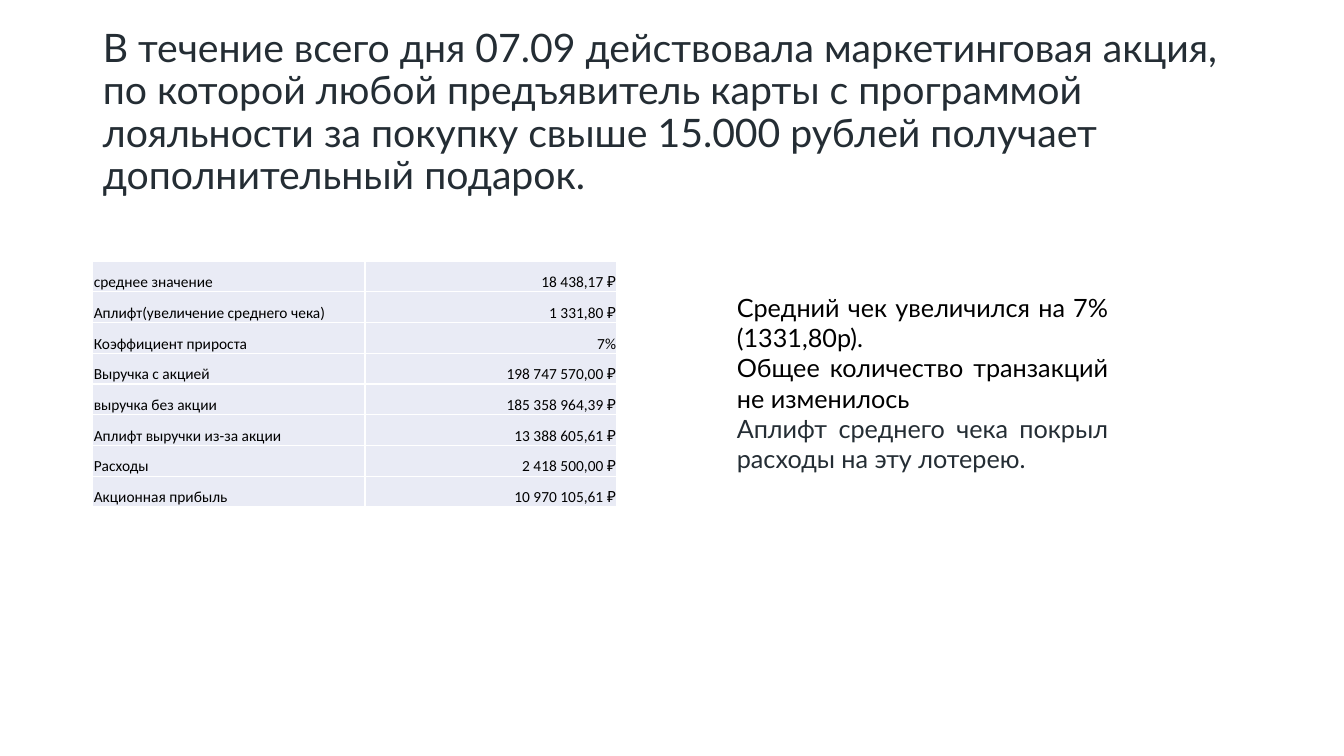
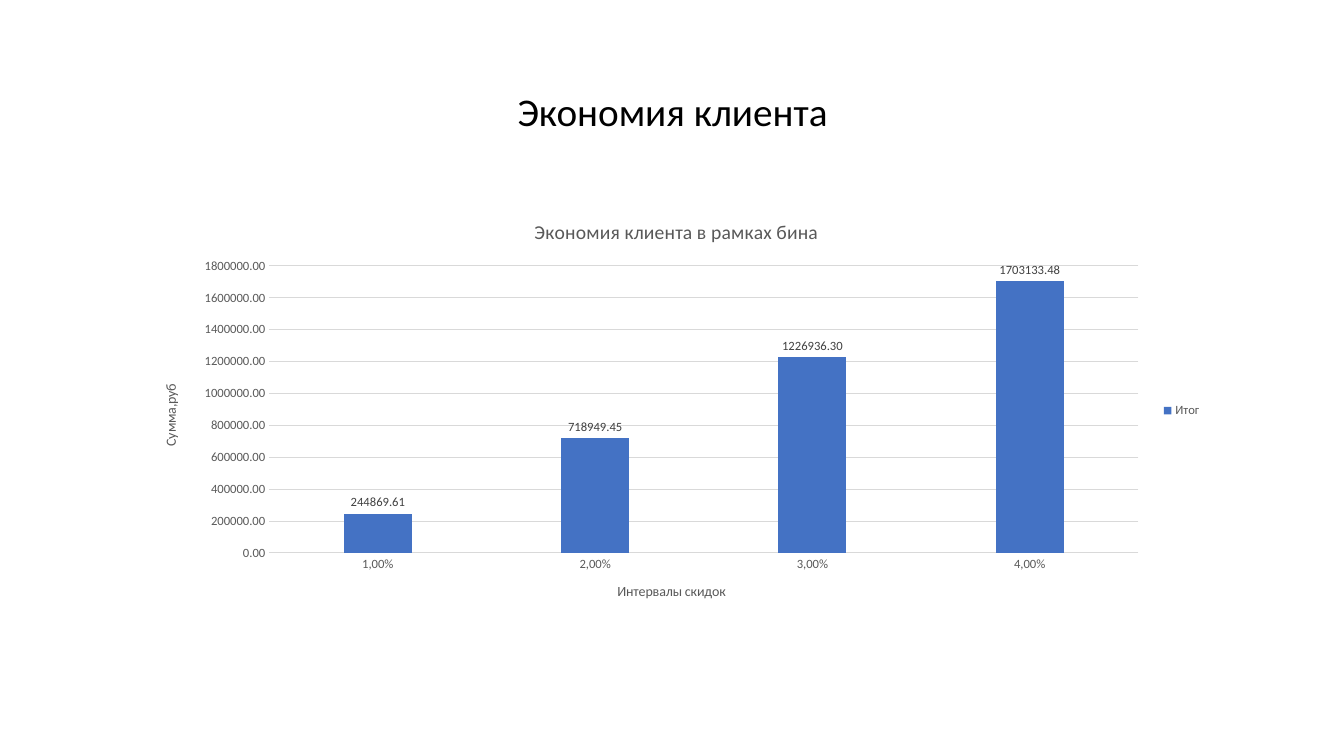
"""Two slides: the result of a marketing campaign and the savings of clients."""
from pptx import Presentation
from pptx.chart.data import CategoryChartData
from pptx.dml.color import RGBColor as RGB
from pptx.enum.chart import XL_CHART_TYPE as Kind, XL_LABEL_POSITION as Spot
from pptx.enum.chart import XL_LEGEND_POSITION as Side, XL_TICK_MARK as Tick
from pptx.enum.text import MSO_ANCHOR as Anchor, MSO_AUTO_SIZE as Fit, PP_ALIGN as Align
from pptx.util import Inches, Pt

HUES = {"black": "000000", "slate": "242D34", "gray": "595959", "dark": "404040",
        "grid": "D9D9D9", "cell": "E9EBF5", "blue": "4472C4"}


def hue(name):
    return RGB.from_string(HUES[name])


def style(font, size, tint, face="Calibri"):
    font.color.rgb = hue(tint)
    for key, val in {"size": Pt(size), "name": face, "bold": False}.items():
        setattr(font, key, val)


deck = Presentation()
deck.slide_width, deck.slide_height = Inches(13.33), Inches(7.5)

heads = [
    ("В течение всего дня 07.09 действовала маркетинговая акция, по которой любой "
     "предъявитель карты с программой лояльности за покупку свыше 15.000 рублей "
     "получает дополнительный подарок.", Align.LEFT, "slate", "Lato"),
    ("Экономия клиента", Align.CENTER, "black", "Calibri"),
]
pages = []
for text, align, tint, face in heads:
    page = deck.slides.add_slide(deck.slide_layouts[5])
    title = page.shapes.title
    box = {"left": 0.92, "top": 0.4, "width": 11.5, "height": 1.45}
    for key, val in box.items():
        setattr(title, key, Inches(val))
    frame = title.text_frame
    frame.text = text
    frame.auto_size, frame.vertical_anchor = Fit.NONE, Anchor.MIDDLE
    par = frame.paragraphs[0]
    par.alignment, par.line_spacing = align, 0.9
    style(par.runs[0].font, 28, tint, face)
    pages.append(page)
promo, saving = pages

rows = [
    ("среднее значение", "18 438,17 ₽"),
    ("Аплифт(увеличение среднего чека)", "1 331,80 ₽"),
    ("Коэффициент прироста", "7%"),
    ("Выручка с акцией", "198 747 570,00 ₽"),
    ("выручка без акции", "185 358 964,39 ₽"),
    ("Аплифт выручки из-за акции", "13 388 605,61 ₽"),
    ("Расходы", "2 418 500,00 ₽"),
    ("Акционная прибыль", "10 970 105,61 ₽"),
]
table = promo.shapes.add_table(len(rows), 2, Inches(0.92), Inches(2.59),
                               Inches(5.2), Inches(2.44)).table
table.first_row = table.horz_banding = False
for col, width in zip(table.columns, (2.7, 2.5)):
    col.width = Inches(width)
inset = Inches(0.01)
look = {"margin_left": inset, "margin_right": inset, "margin_top": inset,
        "margin_bottom": 0, "vertical_anchor": Anchor.BOTTOM}
for r, row in enumerate(rows):
    for c, text in enumerate(row):
        cell = table.cell(r, c)
        cell.text = text
        for key, val in look.items():
            setattr(cell, key, val)
        cell.fill.solid()
        cell.fill.fore_color.rgb = hue("cell")
        par = cell.text_frame.paragraphs[0]
        par.alignment = Align.RIGHT if c else Align.LEFT
        style(par.runs[0].font, 11, "black")

notes = [
    ("Средний чек увеличился на 7% (1331,80р).", "black"),
    ("Общее количество транзакций не изменилось", "black"),
    ("Аплифт среднего чека покрыл расходы на эту лотерею.", "slate"),
]
frame = promo.shapes.add_textbox(Inches(7.21), Inches(2.85),
                                 Inches(3.88), Inches(1.92)).text_frame
frame.word_wrap, frame.auto_size = True, Fit.SHAPE_TO_FIT_TEXT
for n, (text, tint) in enumerate(notes):
    par = frame.add_paragraph() if n else frame.paragraphs[0]
    par.text, par.alignment = text, Align.JUSTIFY
    style(par.runs[0].font, 18, tint, "Lato")

data = CategoryChartData(number_format="0.00")
data.categories = ["1,00%", "2,00%", "3,00%", "4,00%"]
data.add_series("Итог", (244869.61, 718949.45, 1226936.3, 1703133.48))
chart = saving.shapes.add_chart(Kind.COLUMN_CLUSTERED, Inches(1.4), Inches(1.99),
                                Inches(10.62), Inches(4.17), data).chart
style(chart.font, 10, "black")
cats, vals = chart.category_axis, chart.value_axis
for part, text, size in ((chart, "Экономия клиента в рамках бина", 14),
                         (cats, "Интервалы скидок", 10), (vals, "Сумма,руб", 10)):
    label = chart.chart_title if part is chart else part.axis_title
    label.text_frame.text = text
    style(label.text_frame.paragraphs[0].runs[0].font, size, "gray")

for axis in (cats, vals):
    axis.major_tick_mark = axis.minor_tick_mark = Tick.NONE
    style(axis.tick_labels.font, 9, "gray")
vals.format.line.fill.background()
vals.minimum_scale, vals.maximum_scale, vals.major_unit = 0, 1800000, 200000
vals.tick_labels.number_format = "0.00"
vals.tick_labels.number_format_is_linked = False
for line in (cats.format.line, vals.major_gridlines.format.line):
    line.color.rgb, line.width = hue("grid"), Pt(0.75)

chart.has_legend = True
chart.legend.position, chart.legend.include_in_layout = Side.RIGHT, False
style(chart.legend.font, 9, "gray")

plot = chart.plots[0]
plot.gap_width, plot.overlap, plot.vary_by_categories = 219, -27, False
fill = plot.series[0].format.fill
fill.solid()
fill.fore_color.rgb = hue("blue")
plot.has_data_labels = True
marks = {"show_value": True, "number_format": "0.00",
         "number_format_is_linked": False, "position": Spot.OUTSIDE_END}
for key, val in marks.items():
    setattr(plot.data_labels, key, val)
style(plot.data_labels.font, 9, "dark")

deck.save("out.pptx")
